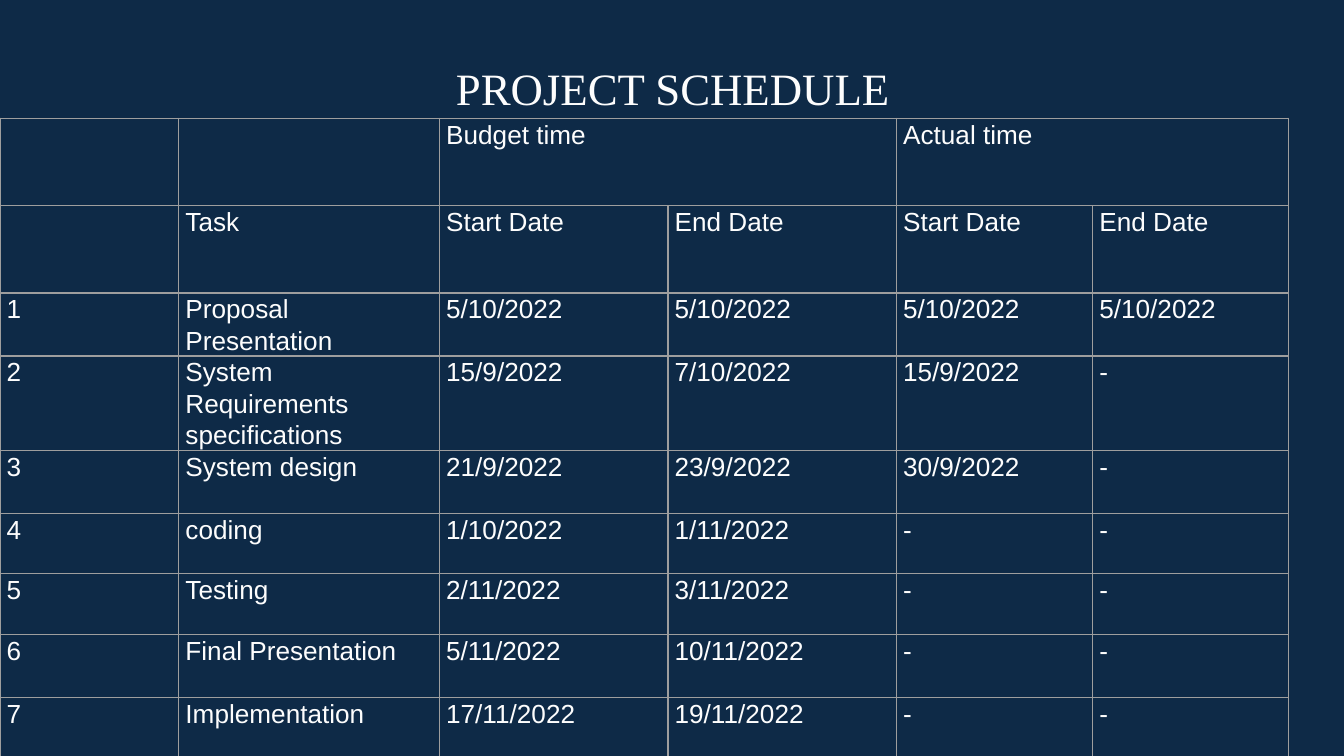
from dataclasses import dataclass

from lxml.etree import SubElement
from pptx import Presentation
from pptx.dml.color import RGBColor
from pptx.enum.text import MSO_ANCHOR, MSO_AUTO_SIZE, PP_ALIGN
from pptx.oxml.ns import qn
from pptx.slide import Slide
from pptx.table import Table, _Cell as Cell
from pptx.text.text import TextFrame
from pptx.util import Inches, Pt

NAVY = RGBColor(0x0E, 0x2A, 0x47)
WHITE = RGBColor(0xFD, 0xFD, 0xFD)
GREY = RGBColor(0x9E, 0x9E, 0x9E)

SLIDE_WIDTH = Inches(10)
SLIDE_HEIGHT = SLIDE_WIDTH * 9 // 16
COLUMN_WIDTHS = (1.33, 1.94, 1.7, 1.7, 1.46, 1.46)
ROW_HEIGHTS = (0.65, 0.65, 0.47, 0.69, 0.47, 0.45, 0.45, 0.47, 0.46)
TABLE_TOP = 0.88
TABLE_LINE_SPACING = 1.07
BORDER_WIDTH = Pt(0.75)


@dataclass(frozen=True)
class Task:
    """One numbered task with its budgeted and actual dates."""
    name: str
    budget_start: str
    budget_end: str
    actual_start: str = "-"
    actual_end: str = "-"

    def texts(self, number: int) -> tuple[str, ...]:
        """Return the cell texts of the task's row."""
        return (str(number), self.name, self.budget_start, self.budget_end,
                self.actual_start, self.actual_end)


HEADINGS = (
    ("", "", "Budget time", "", "Actual time", ""),
    ("", "Task", "Start Date", "End Date", "Start Date ", "End Date"),
)
TASKS = (
    Task("Proposal Presentation", "5/10/2022", "5/10/2022", "5/10/2022", "5/10/2022"),
    Task("System Requirements specifications", "15/9/2022", "7/10/2022", "15/9/2022"),
    Task("System design", "21/9/2022", "23/9/2022", "30/9/2022"),
    Task("coding", "1/10/2022", "1/11/2022"),
    Task("Testing", "2/11/2022", "3/11/2022"),
    Task("Final Presentation", "5/11/2022", "10/11/2022"),
    Task("Implementation", "17/11/2022", "19/11/2022"),
)


def write_text(text_frame: TextFrame, text: str, font_name: str, size: float,
               alignment: PP_ALIGN, line_spacing: float) -> None:
    """Set one paragraph of text and format it."""
    text_frame.text = text
    paragraph = text_frame.paragraphs[0]
    paragraph.alignment = alignment
    paragraph.line_spacing = line_spacing
    for run in paragraph.runs:
        run.font.name = font_name
        run.font.size = Pt(size)
        run.font.color.rgb = WHITE


def add_borders(cell: Cell) -> None:
    """Draw a thin grey line on each side of a cell."""
    properties = cell._tc.get_or_add_tcPr()
    for position, side in enumerate(("a:lnL", "a:lnR", "a:lnT", "a:lnB")):
        line = SubElement(properties, qn(side), w=str(BORDER_WIDTH))
        fill = SubElement(line, qn("a:solidFill"))
        SubElement(fill, qn("a:srgbClr"), val=str(GREY))
        properties.insert(position, line)


def format_cell(cell: Cell, text: str) -> None:
    """Fill in a cell's text, margins, background and borders."""
    cell.margin_left = cell.margin_right = Inches(0.05)
    cell.margin_top = cell.margin_bottom = 0
    cell.vertical_anchor = MSO_ANCHOR.TOP
    cell.fill.background()
    if text:
        write_text(cell.text_frame, text, "Arial", 14, PP_ALIGN.LEFT, TABLE_LINE_SPACING)
    add_borders(cell)


def add_title(slide: Slide, text: str) -> None:
    """Place and format the title placeholder."""
    title = slide.shapes.title
    title.left, title.top = Inches(1.15), Inches(0.35)
    title.width, title.height = Inches(7.71), Inches(0.53)
    text_frame = title.text_frame
    text_frame.margin_left = text_frame.margin_right = Inches(0.1)
    text_frame.margin_top = text_frame.margin_bottom = Inches(0.1)
    text_frame.vertical_anchor = MSO_ANCHOR.TOP
    text_frame.auto_size = MSO_AUTO_SIZE.NONE
    write_text(text_frame, text, "Times New Roman", 24, PP_ALIGN.CENTER, 1.0)


def add_schedule(slide: Slide) -> Table:
    """Add the schedule table with its merged group headings."""
    rows = HEADINGS + tuple(task.texts(number) for number, task in enumerate(TASKS, 1))
    table = slide.shapes.add_table(
        len(rows), len(COLUMN_WIDTHS), 0, Inches(TABLE_TOP),
        Inches(sum(COLUMN_WIDTHS)), Inches(sum(ROW_HEIGHTS))).table
    table.first_row = table.horz_banding = False
    for column, width in zip(table.columns, COLUMN_WIDTHS):
        column.width = Inches(width)
    for row, height, texts in zip(table.rows, ROW_HEIGHTS, rows):
        row.height = Inches(height)
        for cell, text in zip(row.cells, texts):
            format_cell(cell, text)
    for first in (2, 4):
        table.cell(0, first).merge(table.cell(0, first + 1))
    return table


def main() -> None:
    """Build the project schedule slide."""
    presentation = Presentation()
    presentation.slide_width = SLIDE_WIDTH
    presentation.slide_height = SLIDE_HEIGHT
    slide = presentation.slides.add_slide(presentation.slide_layouts[5])
    slide.background.fill.solid()
    slide.background.fill.fore_color.rgb = NAVY
    add_title(slide, "PROJECT SCHEDULE")
    add_schedule(slide)
    presentation.save("out.pptx")


main()
